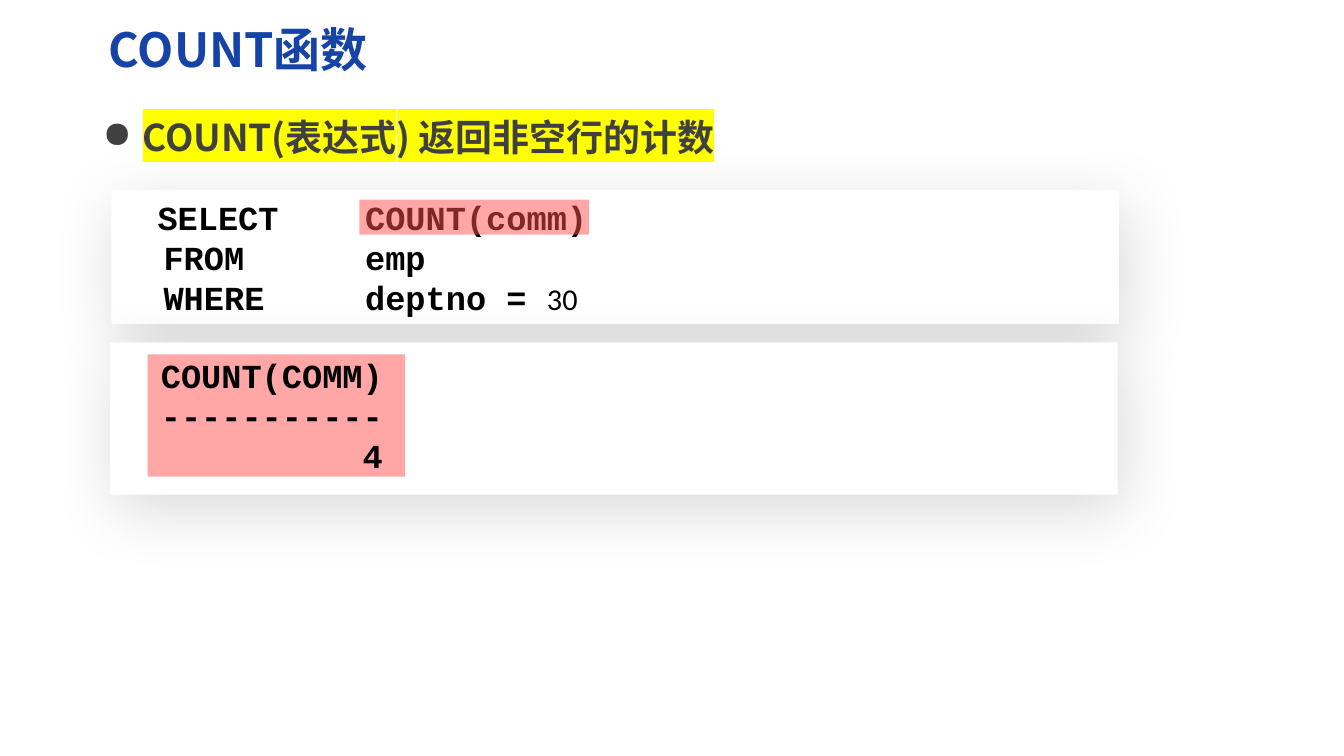
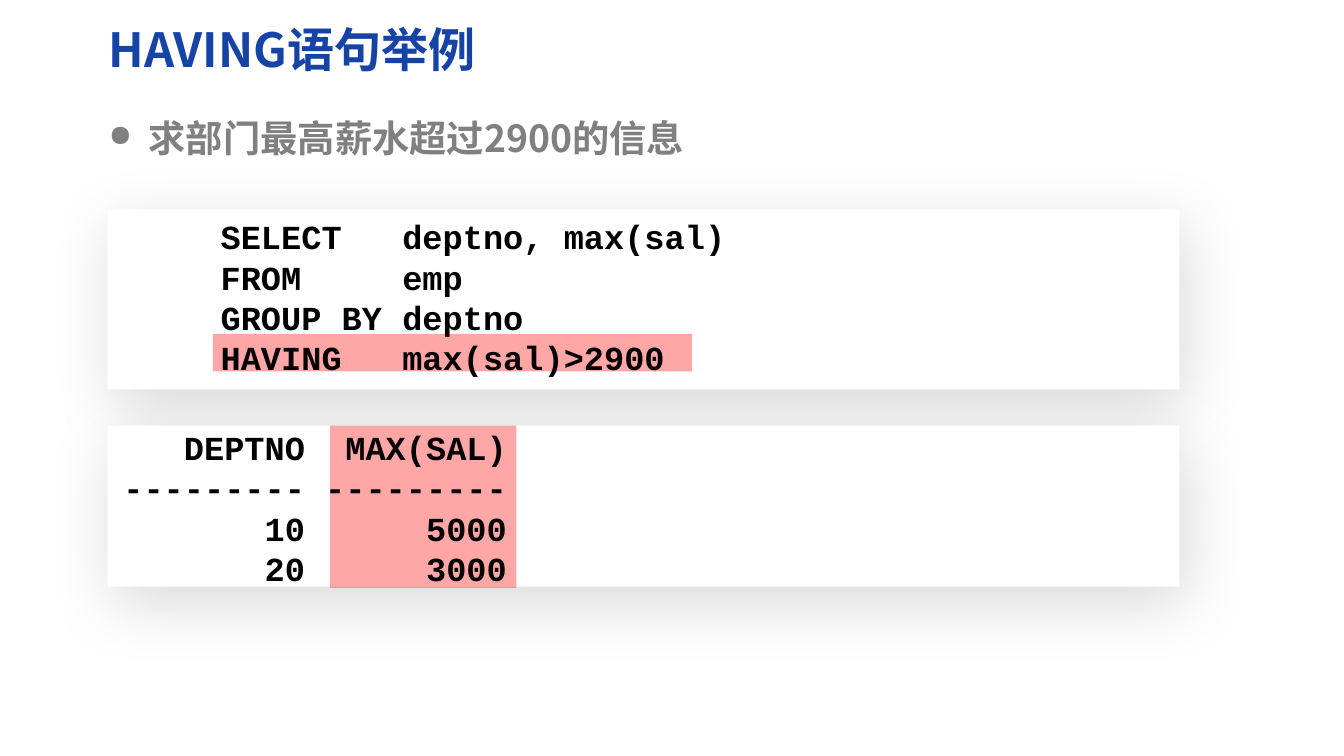
"""Build two slides on SQL group functions."""
import pptx
import pptx.util
import pptx.dml.color
import pptx.enum.shapes
import pptx.enum.text
from pptx.oxml.ns import qn
from lxml import etree

Inches, Pt = pptx.util.Inches, pptx.util.Pt
ANCHOR = pptx.enum.text.MSO_ANCHOR
HUES = {"title": "1543A6", "dark": "404040", "grey": "808080", "code": "000000",
        "panel": "FFFFFF", "mark": "FF5050", "glow": "FFFF00"}
SANS, MONO = "Noto Sans CJK SC", "Courier New"
TABS = (2, 3.38, 4.62)
PAD = (0.11, 0.06)

SLIDES = [
    {"title": "COUNT函数",
     "point": {"text": "COUNT(表达式) 返回非空行的计数", "left": 0.75, "size": 22,
               "hue": "dark", "glow": "glow", "scale": 100},
     "panels": [
         {"at": (0.92, 1.57, 8.33, 1.11),
          "lines": [[("  ", {"size": 17}), ("SELECT\tCOUNT(comm)", {})],
                    [("  FROM\temp", {})],
                    [("  WHERE\tdeptno = ", {}),
                     ("30", {"size": 18, "face": "Calibri", "bold": False})]]},
         {"at": (0.91, 2.83, 8.33, 1.26)}],
     "marks": [(2.97, 1.65, 1.9, 0.29), (1.22, 2.93, 2.13, 1.01)],
     "codes": [
         {"at": (1.22, 2.87, 8.3, 1.12), "anchor": ANCHOR.TOP,
          "lines": ["COUNT(COMM)", "-----------", "          4"]}]},
    {"title": "HAVING语句举例",
     "point": {"text": "求部门最高薪水超过2900的信息", "left": 0.8, "size": 22.2,
               "hue": "grey", "glow": None, "scale": 80},
     "panels": [{"at": (0.89, 1.73, 8.86, 1.49)}, {"at": (0.89, 3.52, 8.86, 1.33)}],
     "marks": [(1.76, 2.76, 3.96, 0.31), (2.73, 3.52, 1.54, 1.34)],
     "codes": [
         {"at": (0.88, 1.84, 8.89, 1.23), "anchor": ANCHOR.MIDDLE,
          "lines": ["     SELECT   deptno, max(sal)", "     FROM     emp",
                    "     GROUP BY deptno", "     HAVING   max(sal)>2900"]},
         {"at": (0.91, 3.52, 8.89, 1.35), "anchor": ANCHOR.MIDDLE,
          "lines": ["   DEPTNO  MAX(SAL)", "--------- ---------",
                    "       10      5000", "       20      3000"]}]},
]


def rgb(hue):
    return pptx.dml.color.RGBColor.from_string(HUES[hue])


def sub(node, tag, **attrs):
    return etree.SubElement(node, qn(tag), {k: str(v) for k, v in attrs.items()})


def add_run(para, text, size=20, face=MONO, hue="code", bold=True, glow=None):
    run = para.add_run()
    run.text = text
    font = run.font
    font.size, font.bold, font.name = Pt(size), bold, face
    font.color.rgb = rgb(hue)
    props = font._element
    east = etree.Element(qn("a:ea"), typeface=face)
    props.find(qn("a:latin")).addnext(east)
    if glow:
        light = etree.Element(qn("a:highlight"))
        sub(light, "a:srgbClr", val=HUES[glow])
        props.find(qn("a:solidFill")).addnext(light)


def set_frame(shape, anchor, pad):
    frame = shape.text_frame
    frame.word_wrap = True
    frame.vertical_anchor = anchor
    frame.margin_left = frame.margin_right = Inches(pad[0])
    frame.margin_top = frame.margin_bottom = Inches(pad[1])
    return frame


def add_text(slide, at, anchor=ANCHOR.TOP, pad=PAD):
    box = slide.shapes.add_textbox(*map(Inches, at))
    return set_frame(box, anchor, pad)


def add_lines(frame, lines, tabs=()):
    for i, line in enumerate(lines):
        para = frame.paragraphs[0] if i == 0 else frame.add_paragraph()
        para.alignment = pptx.enum.text.PP_ALIGN.LEFT
        if tabs:
            stops = sub(para._p.get_or_add_pPr(), "a:tabLst")
            for stop in tabs:
                sub(stops, "a:tab", pos=Inches(stop), algn="l")
        for text, style in line:
            add_run(para, text, **style)


def add_rect(slide, at, hue):
    kind = pptx.enum.shapes.MSO_SHAPE.RECTANGLE
    rect = slide.shapes.add_shape(kind, *map(Inches, at))
    rect.shadow.inherit = False
    rect.fill.solid()
    rect.fill.fore_color.rgb = rgb(hue)
    rect.line.fill.background()
    return rect


def add_panel(slide, at, lines=()):
    panel = add_rect(slide, at, "panel")
    glow = sub(panel._element.spPr.find(qn("a:effectLst")), "a:outerShdw",
               blurRad=Pt(40), dist=Pt(10), dir=70 * 60000, algn="ctr", rotWithShape=0)
    sub(sub(glow, "a:srgbClr", val=HUES["code"]), "a:alpha", val=15000)
    if lines:
        add_lines(set_frame(panel, ANCHOR.MIDDLE, (0.1, 0.05)), lines, TABS)


def add_mark(slide, at):
    mark = add_rect(slide, at, "mark")
    tint = mark._element.spPr.find(qn("a:solidFill"))[0]
    sub(tint, "a:alpha", val=50000)


def add_point(slide, text, left, size, hue, glow, scale):
    frame = add_text(slide, (left, 0.9, 9.8, 0.54), pad=(0.1, 0.05))
    para = frame.paragraphs[0]
    props = para._p.get_or_add_pPr()
    props.set("marL", str(Inches(0.33)))
    props.set("indent", str(-Inches(0.33)))
    sub(props, "a:buSzPct", val=scale * 1000)
    sub(props, "a:buChar", char="●")
    add_run(para, text, size, SANS, hue, glow=glow)


def main():
    deck = pptx.Presentation()
    deck.slide_width, deck.slide_height = Inches(11.11), Inches(6.25)
    for page in SLIDES:
        slide = deck.slides.add_slide(deck.slide_layouts[6])
        for panel in page["panels"]:
            add_panel(slide, **panel)
        for at in page["marks"]:
            add_mark(slide, at)
        title = add_text(slide, (0.79, 0.12, 9.81, 0.57), ANCHOR.MIDDLE)
        add_run(title.paragraphs[0], page["title"], 28, SANS, "title")
        add_point(slide, **page["point"])
        for code in page["codes"]:
            frame = add_text(slide, code["at"], code["anchor"])
            add_lines(frame, [[(line, {})] for line in code["lines"]])
    deck.save("out.pptx")


if __name__ == "__main__":
    main()
